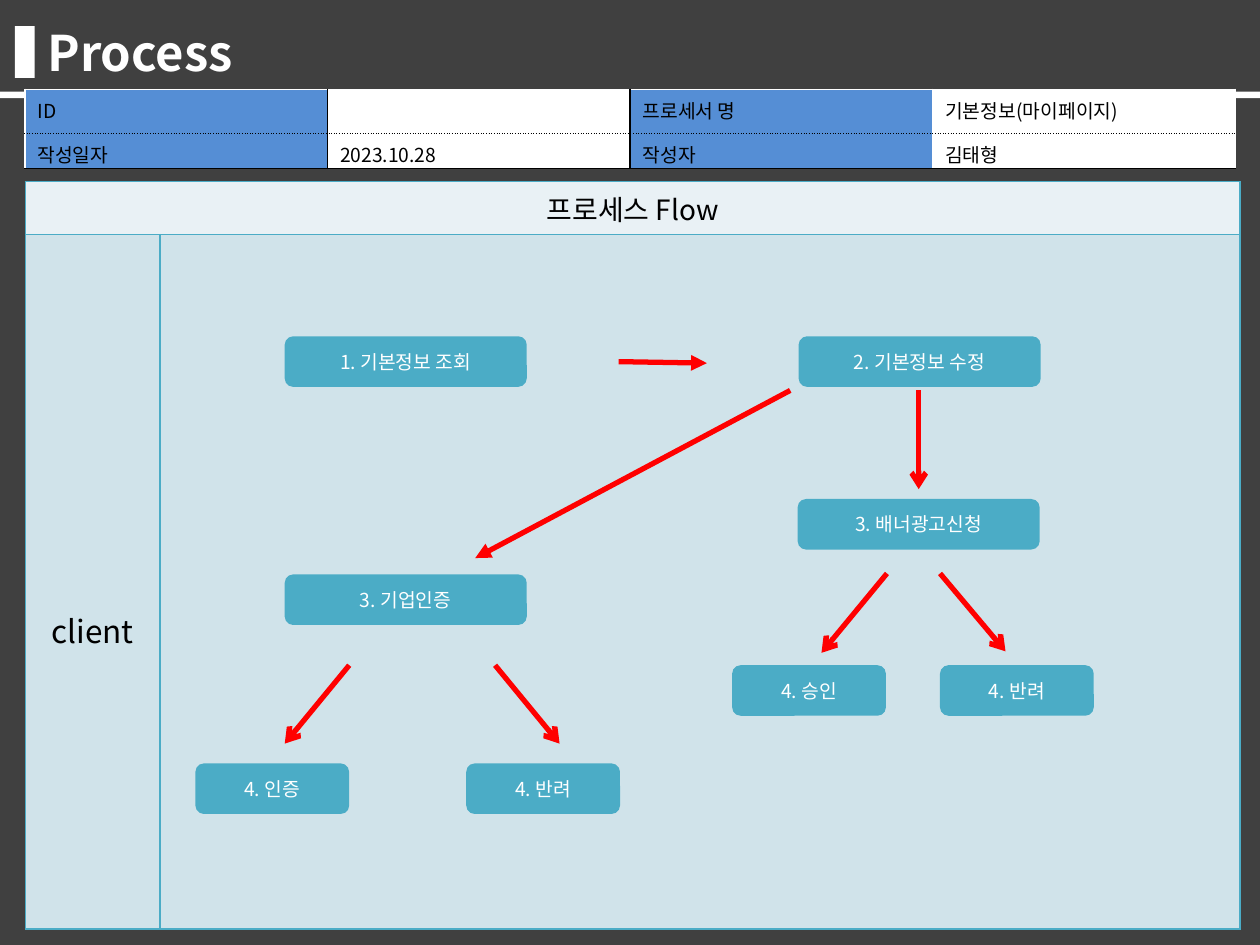
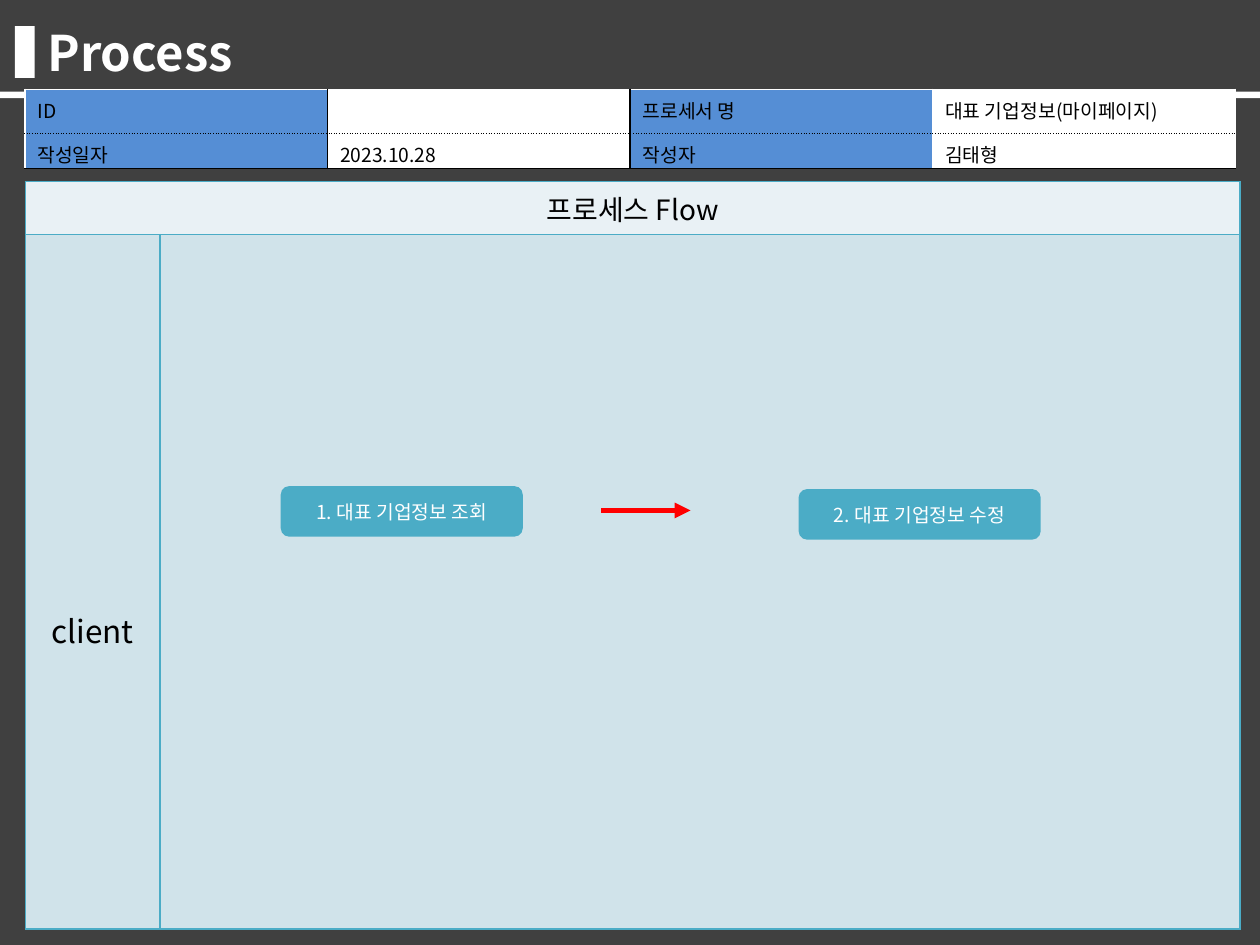
from dataclasses import dataclass
from lxml.etree import SubElement
from pptx import Presentation
from pptx.dml.color import RGBColor
from pptx.enum.shapes import MSO_CONNECTOR, MSO_SHAPE
from pptx.enum.text import MSO_ANCHOR, PP_ALIGN
from pptx.oxml.ns import qn
from pptx.util import Cm, Pt


@dataclass(frozen=True)
class Theme:
    font: str = "Noto Sans CJK KR"
    back: str = "404040"
    white: str = "FFFFFF"
    black: str = "000000"
    label: str = "558ED5"
    teal: str = "4BACC6"
    head: str = "E9F1F5"
    body: str = "D0E3EA"
    arrow: str = "FF0000"
    title_size: int = 28
    head_size: int = 16
    lane_size: int = 18
    text_size: int = 11


T = Theme()
rgb = RGBColor.from_string


def write(tf, text, size, color, align=PP_ALIGN.LEFT, bold=False):
    p = tf.paragraphs[0]
    p.alignment = align
    r = p.add_run()
    r.text = text
    r.font.size = Pt(size)
    r.font.bold = bold
    r.font.color.rgb = rgb(color)
    r.font.name = T.font
    SubElement(r.font._element, qn("a:ea"), typeface=T.font)


def style_cell(cell, fill, edges):
    tc_pr = cell._tc.get_or_add_tcPr()
    for side, (color, dash) in zip("LRTB", edges):
        ln = SubElement(tc_pr, qn(f"a:ln{side}"), w=str(Pt(1)))
        SubElement(SubElement(ln, qn("a:solidFill")), qn("a:srgbClr"), val=color)
        SubElement(ln, qn("a:prstDash"), val=dash)
    cell.fill.solid()
    cell.fill.fore_color.rgb = rgb(fill)


WHITE, BLACK = (T.white, "solid"), (T.black, "solid")
DOTTED, TEAL = (T.black, "sysDot"), (T.teal, "solid")
info_x = [WHITE, BLACK, BLACK, WHITE, WHITE]
info_y = [WHITE, DOTTED, BLACK]

WIDE, NARROW, NODE_H = 4.88, 3.1, 1.02

flows = [
    {
        "name": "기본정보(마이페이지)",
        "nodes": [
            ("2. 기본정보 수정", 16.1, 6.78, WIDE),
            ("1. 기본정보 조회", 5.74, 6.78, WIDE),
            ("3. 기업인증", 5.74, 11.58, WIDE),
            ("3. 배너광고신청", 16.08, 10.06, WIDE),
            ("4. 인증", 3.94, 15.39, NARROW),
            ("4. 반려", 18.95, 13.41, NARROW),
            ("4. 승인", 14.76, 13.41, NARROW),
            ("4. 반려", 9.4, 15.39, NARROW),
        ],
        "arrows": [
            (12.47, 7.29, 14.25, 7.32, "triangle"),
            (15.93, 7.87, 9.58, 11.25, "triangle"),
            (18.52, 7.87, 18.52, 9.86, "arrow"),
            (7.04, 13.41, 5.74, 14.99, "arrow"),
            (9.98, 13.41, 11.28, 14.99, "arrow"),
            (17.88, 11.56, 16.56, 13.16, "arrow"),
            (18.95, 11.56, 20.27, 13.13, "arrow"),
        ],
    },
    {
        "name": "대표 기업정보(마이페이지)",
        "nodes": [
            ("2. 대표 기업정보 수정", 16.1, 9.86, WIDE),
            ("1. 대표 기업정보 조회", 5.66, 9.8, WIDE),
        ],
        "arrows": [(12.12, 10.29, 13.92, 10.29, "triangle")],
    },
]

prs = Presentation()
prs.slide_width, prs.slide_height = Cm(25.4), Cm(19.05)

for flow in flows:
    s = prs.slides.add_slide(prs.slide_layouts[6])

    for x, y, w, h, color in [
        (0, 0, 25.4, 19.05, T.back),
        (0.3, 0.53, 0.4, 1.04, T.white),
        (0, 1.85, 25.4, 0.13, T.white),
    ]:
        sp = s.shapes.add_shape(MSO_SHAPE.RECTANGLE, Cm(x), Cm(y), Cm(w), Cm(h))
        sp.shadow.inherit = False
        sp.fill.solid()
        sp.fill.fore_color.rgb = rgb(color)
        sp.line.fill.background()

    tf = s.shapes.add_textbox(Cm(0.71), Cm(0.33), Cm(22.81), Cm(1.45)).text_frame
    tf.word_wrap = True
    write(tf, "Process", T.title_size, T.white, bold=True)

    info = s.shapes.add_table(2, 4, Cm(0.5), Cm(1.8), Cm(24.4), Cm(1.5)).table
    info.first_row = info.horz_banding = False
    info.rows[0].height, info.rows[1].height = Cm(0.79), Cm(0.71)
    texts = [
        ["ID", "", "프로세서 명", flow["name"]],
        ["작성일자", "2023.10.28", "작성자", "김태형"],
    ]
    for i, row in enumerate(texts):
        for j, text in enumerate(row):
            cell = info.cell(i, j)
            cell.margin_bottom = 0
            edges = [info_x[j], info_x[j + 1], info_y[i], info_y[i + 1]]
            style_cell(cell, T.white if j % 2 else T.label, edges)
            write(cell.text_frame, text, T.text_size, T.black)

    lanes = s.shapes.add_table(2, 2, Cm(0.51), Cm(3.66), Cm(24.49), Cm(15.07)).table
    lanes.first_row = lanes.horz_banding = False
    lanes.columns[0].width, lanes.columns[1].width = Cm(2.72), Cm(21.77)
    lanes.rows[0].height, lanes.rows[1].height = Cm(1.07), Cm(14)
    for i, fill in enumerate([T.head, T.body]):
        for j in range(2):
            style_cell(lanes.cell(i, j), fill, [TEAL] * 4)
    lanes.cell(0, 0).merge(lanes.cell(0, 1))
    lanes.cell(1, 0).margin_top = Cm(7.5)
    write(lanes.cell(0, 0).text_frame, "프로세스 Flow", T.head_size, T.black, PP_ALIGN.CENTER)
    write(lanes.cell(1, 0).text_frame, "client", T.lane_size, T.black, PP_ALIGN.CENTER)

    for text, x, y, w in flow["nodes"]:
        sp = s.shapes.add_shape(MSO_SHAPE.ROUNDED_RECTANGLE, Cm(x), Cm(y), Cm(w), Cm(NODE_H))
        sp.shadow.inherit = False
        sp.fill.solid()
        sp.fill.fore_color.rgb = rgb(T.teal)
        sp.line.fill.background()
        tf = sp.text_frame
        tf.word_wrap = True
        tf.vertical_anchor = MSO_ANCHOR.MIDDLE
        write(tf, text, T.text_size, T.white, PP_ALIGN.CENTER)

    for x1, y1, x2, y2, tip in flow["arrows"]:
        ln = s.shapes.add_connector(MSO_CONNECTOR.STRAIGHT, Cm(x1), Cm(y1), Cm(x2), Cm(y2))
        ln.line.color.rgb = rgb(T.arrow)
        ln.line.width = Pt(3)
        SubElement(ln.line._get_or_add_ln(), qn("a:tailEnd"), type=tip)
        SubElement(ln._element.spPr, qn("a:effectLst"))

prs.save("out.pptx")
